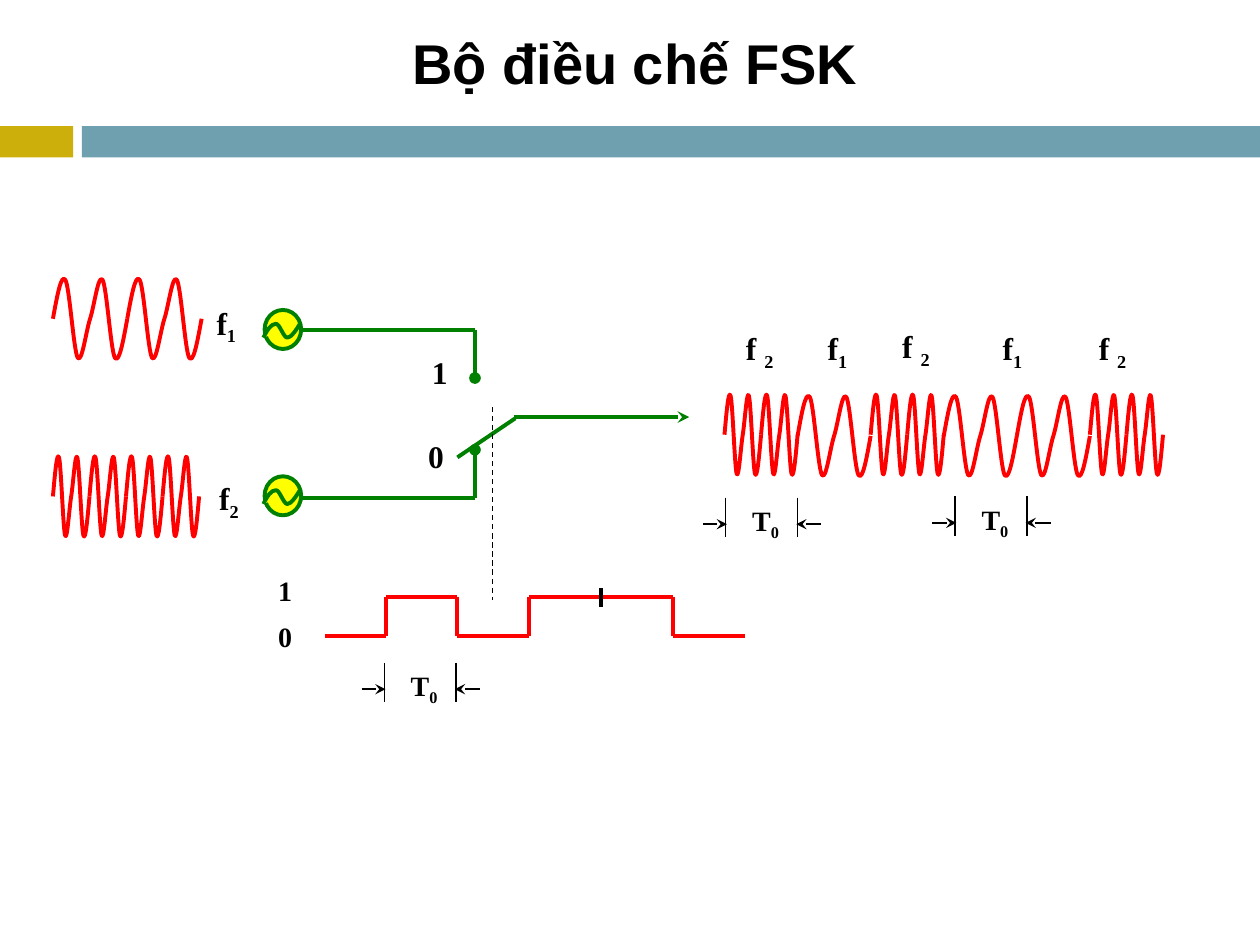
"""Build the FSK modulator slide on a grid of 100 columns by 75 rows."""
from dataclasses import dataclass

from lxml import etree
from pptx import Presentation
from pptx import util as u
from pptx.dml.color import RGBColor
from pptx.enum import dml, shapes, text
from pptx.oxml.ns import qn


@dataclass(frozen=True)
class Theme:
    gold: str = "CCAF0A"
    teal: str = "6EA0B0"
    ink: str = "000000"
    wire: str = "008000"
    wave: str = "FF0000"
    lamp: str = "FFFF00"
    head: str = "Arial"
    body: str = "Times New Roman"
    title: int = 32
    label: int = 18
    small: int = 16
    bold: float = 2.25
    mid: float = 1.5
    thin: float = 0.75


T = Theme()
CELL = u.Inches(10) // 100
SWING = (0, -1.8, -3.6, -3.1, -2.6, 2.5, 3.1, 3.6, 1, 0,
         -1, -3.6, -3.1, -2.6, 2.5, 3.1, 3.6, 1.8, 0)
SINE = ((0, 1.1), (0.3, 0.5), (0.6, 0), (1, 0), (1.3, 0),
        (1.6, 1.1), (1.9, 1.1), (2.2, 1.1), (2.6, 0.5), (2.9, 0))
BITS = (0, 1, 0, 1, 1, 0)


def grid(*cells):
    return [u.Emu(round(n * CELL)) for n in cells]


def rgb(code):
    return RGBColor.from_string(code)


def style(font, name, size):
    font.name, font.size, font.bold = name, u.Pt(size), True
    font.color.rgb = rgb(T.ink)


def paint(shape, fill=None, line=None):
    shape.shadow.inherit = False
    if fill:
        shape.fill.solid()
        shape.fill.fore_color.rgb = rgb(fill)
    else:
        shape.fill.background()
    if line:
        shape.line.color.rgb = rgb(line)
        shape.line.width = u.Pt(T.bold)
    else:
        shape.line.fill.background()


def block(slide, kind, box, fill, line=None):
    paint(slide.shapes.add_shape(kind, *grid(*box)), fill, line)


def label(slide, box, base, sub="", size=T.label, side=1):
    frame = slide.shapes.add_textbox(*grid(*box)).text_frame
    frame.word_wrap = True
    frame.margin_left, frame.margin_right = grid(side, side)
    para = frame.paragraphs[0]
    style(para.font, T.body, size)
    para.add_run().text = base
    if sub:
        run = para.add_run()
        run.text = sub
        run._r.get_or_add_rPr().set("baseline", "-25000")


def wire(slide, ends, color=T.wire, width=T.bold, tip=None, dash=False):
    link = slide.shapes.add_connector(shapes.MSO_CONNECTOR.STRAIGHT, *grid(*ends))
    link.line.color.rgb = rgb(color)
    link.line.width = u.Pt(width)
    if dash:
        link.line.dash_style = dml.MSO_LINE.DASH
    if tip:
        etree.SubElement(link.line._get_or_add_ln(), qn("a:tailEnd")).set("type", tip)
    etree.SubElement(link._element.spPr, qn("a:effectLst"))


def curve(slide, points, line, fill=None):
    """Join points by cubic curves, each made of two handles and an end."""
    first, *rest = [grid(*p) for p in points]
    pen = slide.shapes.build_freeform(*first)
    pen.add_line_segments(rest, close=False)
    shape = pen.convert_to_shape()
    steps = list(shape._element.iter(qn("a:lnTo")))
    for i in range(0, len(steps), 3):
        trio = steps[i:i + 3]
        bend = etree.Element(qn("a:cubicBezTo"))
        trio[0].addprevious(bend)
        for step in trio:
            bend.append(step[0])
            step.getparent().remove(step)
    paint(shape, fill, line)


def wave(slide, x, y, width):
    curve(slide, [(x + i * width / 18, y + d) for i, d in enumerate(SWING)], T.wave)


def source(slide, y):
    block(slide, shapes.MSO_SHAPE.OVAL, (21, y, 2.9, 3.1), T.lamp, T.wire)
    curve(slide, [(20.9 + dx, y + 1.1 + dy) for dx, dy in SINE], T.wire, T.lamp)


def period(slide, x, y):
    label(slide, (x + 2.1, y, 2.5, 4.6), "T", "0", T.small, 0)
    for start, end in ((7.6, 5.6), (-1.8, 0.1)):
        wire(slide, (x + start, y + 2.1, x + end, y + 2.1), T.ink, T.mid, "stealth")
    for tick in (x, x + 5.7):
        wire(slide, (tick, y, tick, y + 3.1), T.ink, T.thin)


def frame(slide):
    title = slide.shapes.title
    title.left, title.top, title.width, title.height = grid(2.5, 0.8, 95.8, 8.2)
    title.text_frame.text = "Bộ điều chế FSK"
    title.text_frame.vertical_anchor = text.MSO_ANCHOR.MIDDLE
    para = title.text_frame.paragraphs[0]
    para.alignment = text.PP_ALIGN.CENTER
    style(para.font, T.head, T.title)
    for x, width, fill in ((0, 5.8, T.gold), (6.5, 93.5, T.teal)):
        block(slide, shapes.MSO_SHAPE.RECTANGLE, (x, 10, width, 2.5), fill)


def inputs(slide):
    for i in range(2):
        wave(slide, 4.2 + 5.9 * i, 25.3, 5.9)
    for i in range(4):
        wave(slide, 4.2 + 2.9 * i, 39.4, 2.9)
    label(slide, (16.2, 23.6, 6.9, 3.8), "f", "1")
    label(slide, (16.4, 37.5, 6.9, 3.8), "f", "2")


def switch(slide):
    for y, bar, stop in ((24.6, 26.2, 30), (37.8, 39.5, 35.7)):
        source(slide, y)
        wire(slide, (23.9, bar, 37.7, bar))
        wire(slide, (37.7, bar, 37.7, stop), tip="oval")
    wire(slide, (36.3, 36.3, 40.9, 33.2))
    wire(slide, (40.8, 33.1, 54.7, 33.1), tip="stealth")
    wire(slide, (39.1, 32.3, 39.1, 47.6), T.ink, T.thin, dash=True)
    label(slide, (33.3, 27.5, 4.7, 4.6), "1")
    label(slide, (33, 34.2, 4.7, 4.6), "0")


def data(slide):
    edges = [25.8] + [30.6 + 5.7 * i for i in range(len(BITS))]
    rows = [50.5 - 3.1 * bit for bit in BITS]
    for i, y in enumerate(rows):
        wire(slide, (edges[i], y, edges[i + 1], y), T.wave)
        if i and y != rows[i - 1]:
            wire(slide, (edges[i], min(rows), edges[i], max(rows)), T.wave)
    wire(slide, (edges[4], 46.7, edges[4], 48.2), T.ink)
    for y, bit in ((45, "1"), (48.7, "0")):
        label(slide, (21.1, y, 4.7, 4.6), bit, size=T.small)


def output(slide):
    for i, bit in enumerate(BITS):
        x = 57.5 + 5.8 * i
        if bit:
            wave(slide, x, 34.6, 5.8)
        else:
            for part in range(2):
                wave(slide, x + 2.9 * part, 34.5, 2.9)
    for x, y, base, sub in ((57.6, 25.6, " f ", "2"), (64.7, 25.6, "f", "1"),
                            (70, 25.5, " f ", "2"), (78.6, 25.6, "f", "1"),
                            (85.6, 25.6, " f ", "2")):
        label(slide, (x, y, 6.9, 4.4), base, sub)


def main():
    deck = Presentation()
    deck.slide_width, deck.slide_height = grid(100, 75)
    slide = deck.slides.add_slide(deck.slide_layouts[5])
    for part in (frame, inputs, switch, data, output):
        part(slide)
    for x, y in ((30.5, 52.6), (57.6, 39.5), (75.8, 39.4)):
        period(slide, x, y)
    deck.save("out.pptx")


main()
